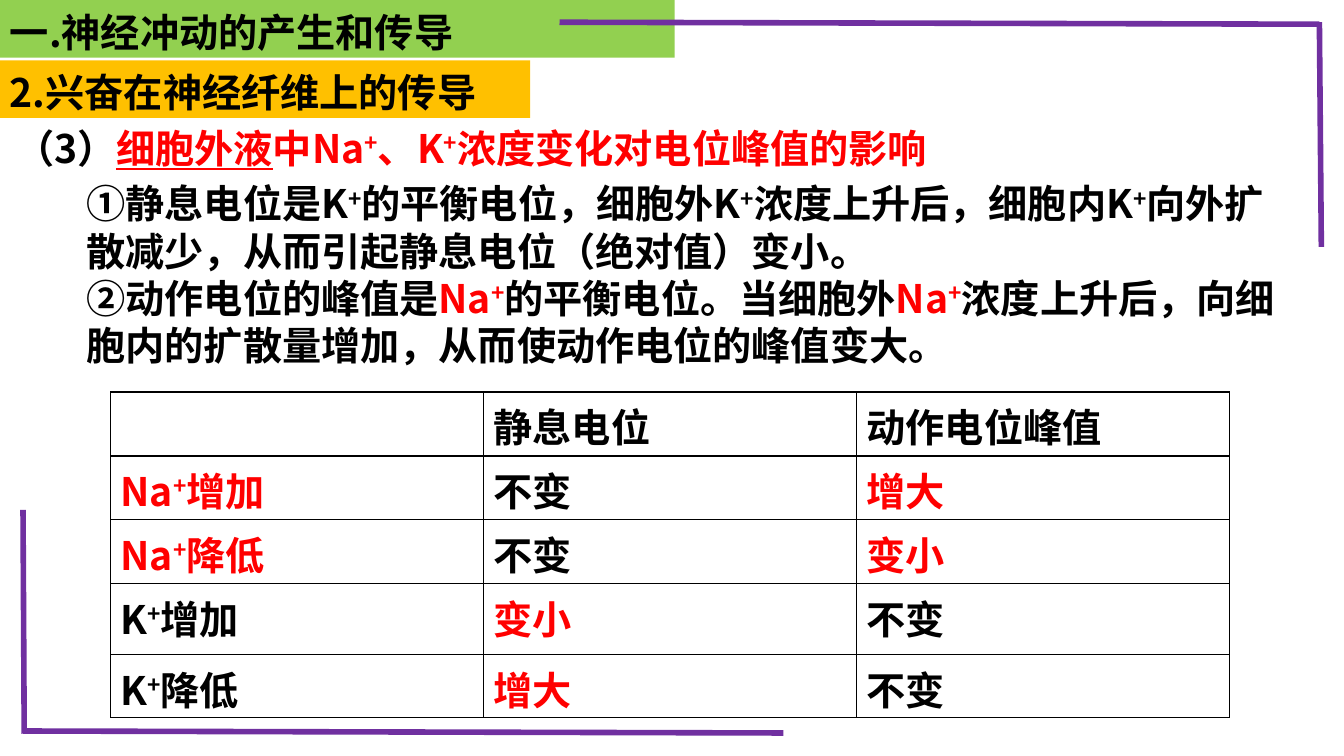
import itertools

import lxml.etree
import pptx
import pptx.dml.color
import pptx.enum.shapes
import pptx.enum.text
import pptx.oxml
import pptx.oxml.ns
import pptx.util

Cm = pptx.util.Cm
Pt = pptx.util.Pt
RGBColor = pptx.dml.color.RGBColor
qn = pptx.oxml.ns.qn

BLACK = RGBColor(0x00, 0x00, 0x00)
RED = RGBColor(0xFF, 0x00, 0x00)
PURPLE = RGBColor(0x70, 0x30, 0xA0)
GREEN = RGBColor(0x92, 0xD0, 0x50)
ORANGE = RGBColor(0xFF, 0xC0, 0x00)
SANS = "Noto Sans CJK SC"
SERIF = "Times New Roman"


def write_paragraph(paragraph, pieces):
    """Write (text, format values) pieces, raising each plus sign of an ion."""
    paragraph.line_spacing = Pt(33.8)
    for text, values in pieces:
        for raised, characters in itertools.groupby(text, lambda character: character == "+"):
            run = paragraph.add_run()
            run.text = "".join(characters)
            settings = {"size": Pt(28), "bold": True, "name": SANS, "color": BLACK} | values
            run.font.color.rgb = settings.pop("color")
            for name, value in settings.items():
                setattr(run.font, name, value)
            properties = run._r.get_or_add_rPr()
            lxml.etree.SubElement(properties, qn("a:ea")).set("typeface", SANS)
            if raised:
                properties.set("baseline", "30000")


def set_up_frame(frame, paragraphs, alignment):
    settings = {
        "word_wrap": True,
        "auto_size": pptx.enum.text.MSO_AUTO_SIZE.NONE,
        "vertical_anchor": pptx.enum.text.MSO_ANCHOR.TOP,
        "margin_left": Cm(0.25),
        "margin_right": Cm(0.25),
        "margin_top": Cm(0.2),
        "margin_bottom": Cm(0),
    }
    for name, value in settings.items():
        setattr(frame, name, value)
    for index, pieces in enumerate(paragraphs):
        paragraph = frame.add_paragraph() if index else frame.paragraphs[0]
        paragraph.alignment = alignment
        write_paragraph(paragraph, pieces)


presentation = pptx.Presentation()
presentation.slide_width = Cm(33.87)
presentation.slide_height = Cm(19.05)
slide = presentation.slides.add_slide(presentation.slide_layouts[5])
shapes = slide.shapes

# Corner frame
frame_lines = [
    (0.58, 18.42, 19.74, 18.47),
    (14.1, 0.56, 33.25, 0.61),
    (33.25, 0.56, 33.3, 6.22),
    (0.58, 12.85, 0.61, 18.49),
]
for ends in frame_lines:
    line = shapes.add_connector(
        pptx.enum.shapes.MSO_CONNECTOR.STRAIGHT, *[Cm(end) for end in ends])
    line.line.color.rgb = PURPLE
    line.line.width = Pt(4)
    lxml.etree.SubElement(line._element.spPr, qn("a:effectLst"))

# Headings
title = shapes.title
subtitle = shapes.add_shape(pptx.enum.shapes.MSO_SHAPE.RECTANGLE, 0, 0, Cm(1), Cm(1))
subtitle.shadow.inherit = False
subtitle.line.fill.background()
headings = [
    (title, 0, 17, GREEN, [("一.", {}), ("神经冲动的产生和传导", {"name": SERIF})]),
    (subtitle, 1.52, 13.36, ORANGE, [("2.兴奋在神经纤维上的传导", {})]),
]
for shape, top, width, color, pieces in headings:
    shape.left, shape.top = Cm(0), Cm(top)
    shape.width, shape.height = Cm(width), Cm(1.45)
    shape.fill.solid()
    shape.fill.fore_color.rgb = color
    set_up_frame(shape.text_frame, [pieces], pptx.enum.text.PP_ALIGN.JUSTIFY)

# Explanation
red = {"color": RED}
topic = [
    ("（3）", {}),
    ("细胞外液", red | {"underline": True}),
    ("中Na+、K+浓度变化对电位峰值的影响", red),
]
resting = [("①静息电位是K+的平衡电位，细胞外K+浓度上升后，细胞内K+向外扩散减少，"
            "从而引起静息电位（绝对值）变小。", {})]
action = [
    ("②动作电位的峰值是", {}),
    ("Na+", red),
    ("的平衡电位。当细胞外", {}),
    ("Na+", red),
    ("浓度上升后，向细胞内的扩散量增加，从而使动作电位的峰值变大。", {}),
]
text_boxes = [
    (0.13, 2.92, 24.82, 1.45, [topic]),
    (1.93, 4.32, 30.96, 5.03, [resting, action]),
]
for left, top, width, height, paragraphs in text_boxes:
    box = shapes.add_textbox(Cm(left), Cm(top), Cm(width), Cm(height))
    set_up_frame(box.text_frame, paragraphs, pptx.enum.text.PP_ALIGN.LEFT)

# Effect of each ion on the potentials
effects = [
    ["", "静息电位", "动作电位峰值"],
    ["Na+增加", "不变", "增大"],
    ["Na+降低", "不变", "变小"],
    ["K+增加", "变小", "不变"],
    ["K+降低", "增大", "不变"],
]
red_texts = {"Na+增加", "Na+降低", "增大", "变小"}
row_heights = [1.61, 1.61, 1.61, 1.79, 1.58]
table = shapes.add_table(
    len(effects), 3, Cm(2.79), Cm(9.88), Cm(28.2), Cm(sum(row_heights))).table
table.first_row = False
table.horz_banding = False
for column in table.columns:
    column.width = Cm(9.4)
for row, height, texts in zip(table.rows, row_heights, effects):
    row.height = Cm(height)
    for cell, text in zip(row.cells, texts):
        cell.margin_left = cell.margin_right = Cm(0.25)
        cell.margin_top, cell.margin_bottom = Cm(0.37), Cm(0)
        properties = cell._tc.get_or_add_tcPr()
        for side in ("lnL", "lnR", "lnT", "lnB"):
            border = lxml.etree.SubElement(properties, qn("a:" + side), w=str(Pt(1)))
            fill = lxml.etree.SubElement(border, qn("a:solidFill"))
            lxml.etree.SubElement(fill, qn("a:srgbClr"), val=str(BLACK))
        cell.fill.background()
        color = RED if text in red_texts else BLACK
        write_paragraph(cell.text_frame.paragraphs[0], [(text, {"color": color})])

presentation.save("out.pptx")
